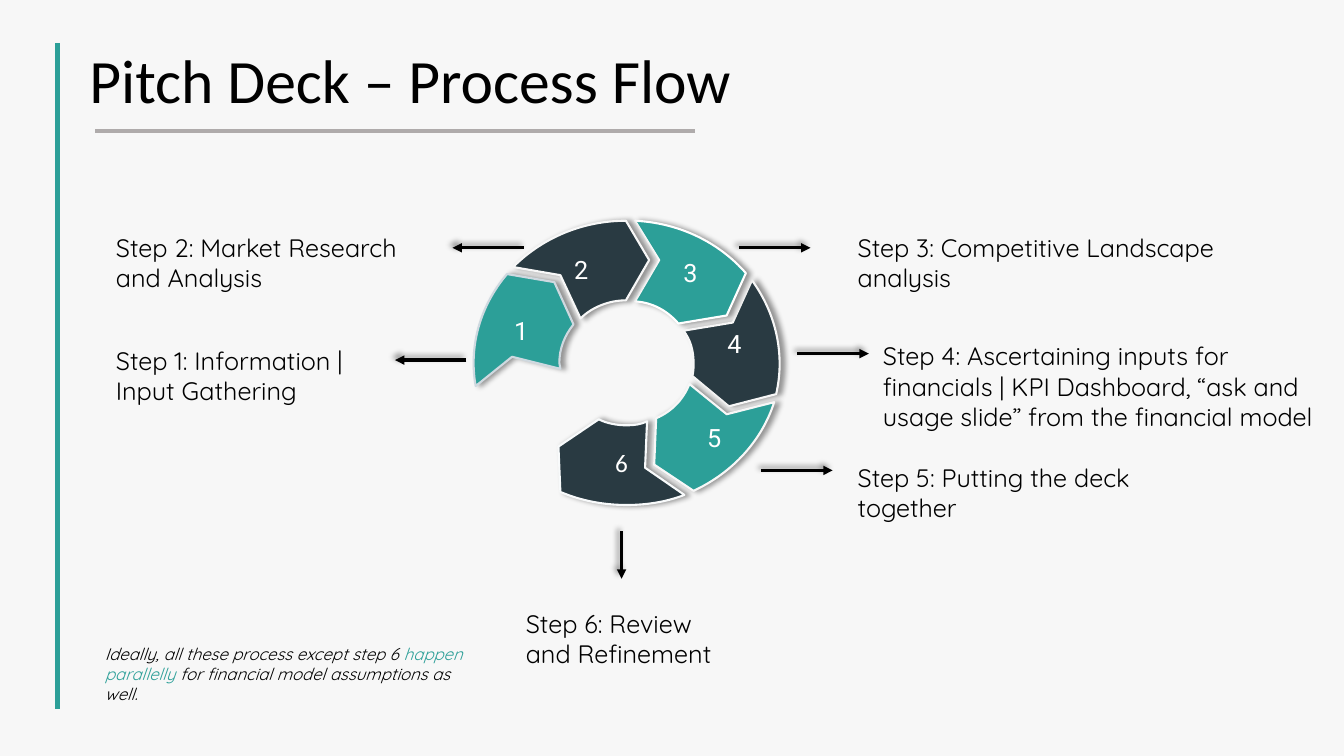
"""Build the pitch deck process flow slide."""
from dataclasses import dataclass

from lxml import etree
from pptx import Presentation
from pptx.dml import color
from pptx.enum import shapes, text
from pptx.oxml import ns
from pptx.util import Pt


@dataclass(frozen=True)
class Theme:
    background: str = "F7F7F7"
    teal: str = "2C9F98"
    navy: str = "293A42"
    grey: str = "AFABAB"
    black: str = "000000"
    white: str = "FFFFFF"
    pale_blue: str = "CFD9E0"
    near_white: str = "F8FAFB"
    title_size: int = 44
    body_size: int = 18
    note_size: int = 12
    title_font: str = "Calibri"
    body_font: str = "Quicksand"
    number_font: str = "Roboto"


theme = Theme()
rgb = color.RGBColor.from_string


def write(frame, *runs, size=theme.body_size, font=theme.body_font, ink=theme.black,
          italic=False, align=text.PP_ALIGN.LEFT, anchor=text.MSO_ANCHOR.TOP,
          inset=(7.2, 3.6), spacing=None):
    """Fill a text frame with runs, each a string or a (string, colour) pair."""
    frame.word_wrap = True
    frame.auto_size = text.MSO_AUTO_SIZE.NONE
    frame.vertical_anchor = anchor
    frame.margin_left = frame.margin_right = Pt(inset[0])
    frame.margin_top = frame.margin_bottom = Pt(inset[1])
    paragraph = frame.paragraphs[0]
    paragraph.alignment = align
    paragraph.line_spacing = spacing
    for item in runs:
        words, run_ink = (item, ink) if isinstance(item, str) else item
        run = paragraph.add_run()
        run.text = words
        run.font.size = Pt(size)
        run.font.name = font
        run.font.italic = italic
        run.font.color.rgb = rgb(run_ink)


def set_shadow(item, degrees=None):
    """Drop a soft shadow in the given direction, or none at all."""
    effects = etree.SubElement(item._element.spPr, ns.qn("a:effectLst"))
    if degrees is not None:
        shadow = etree.SubElement(effects, ns.qn("a:outerShdw"), blurRad=str(Pt(4)),
                                  dist=str(Pt(3)), dir=str(degrees * 60000),
                                  algn="ctr", rotWithShape="0")
        tint = etree.SubElement(shadow, ns.qn("a:srgbClr"), val=theme.black)
        etree.SubElement(tint, ns.qn("a:alpha"), val="40000")


presentation = Presentation()
presentation.slide_width, presentation.slide_height = Pt(960), Pt(540)
slide = presentation.slides.add_slide(presentation.slide_layouts[5])
slide.background.fill.solid()
slide.background.fill.fore_color.rgb = rgb(theme.background)

title = slide.shapes.title
title.left, title.top, title.width, title.height = Pt(56.7), Pt(28.8), Pt(700.6), Pt(72.7)
write(title.text_frame, "Pitch Deck – Process Flow", size=theme.title_size,
      font=theme.title_font, inset=(7.2, 7.2), spacing=0.9)

# pairs are corners, sextuples are cubic curves
segments = [
    ("4", theme.navy, theme.background, theme.number_font, [
        (537.1, 200.2), (523.4, 230.4), (488.2, 236.2),
        (493.2, 242.6, 495.4, 250.6, 495.4, 259.2),
        (495.4, 262.1, 495.4, 265, 494.6, 268.6), (520.6, 290.2), (554.4, 281.5),
        (560.9, 253.4, 554.4, 223.9, 537.1, 200.2)]),
    ("3", theme.teal, theme.white, theme.number_font, [
        (453.6, 157.7), (470.9, 185.8), (453.6, 215.3),
        (465.8, 216, 476.6, 221.8, 484.6, 231.1), (519.1, 225.4), (532.8, 195.1),
        (513.4, 172.8, 484.6, 159.1, 453.6, 157.7)]),
    ("6", theme.navy, theme.near_white, theme.title_font, [
        (427.7, 299.5), (398.9, 319), (400.3, 351.4),
        (415.4, 357.8, 431.3, 360.7, 447.8, 360.7),
        (461.5, 360.7, 475.9, 358.6, 488.9, 353.5), (460.8, 334.1), (462.2, 301),
        (457.9, 303.1, 452.9, 303.8, 447.8, 303.8),
        (440.6, 303.8, 433.4, 302.4, 427.7, 299.5)]),
    ("5", theme.teal, theme.background, theme.number_font, [
        (492.5, 274.3), (488.2, 285.1, 480.2, 293.8, 468.7, 298.8), (467.3, 331.9),
        (495.4, 350.6), (523.4, 337.7, 544.3, 314.6, 553, 287.3), (519.1, 295.9)]),
    ("1", theme.teal, theme.pale_blue, theme.number_font, [
        (362.2, 195.8), (342.7, 218.9, 334.8, 247.7, 339.8, 275.8), (365.8, 254.9),
        (400.3, 263.5), (400.3, 262.1, 399.6, 260.6, 399.6, 259.2),
        (399.6, 249.1, 403.2, 239.8, 409.7, 231.8), (396, 201.6)]),
    ("2", theme.navy, theme.background, theme.number_font, [
        (447.1, 157.7), (416.2, 157.7, 387.4, 169.9, 366.5, 190.8), (400.3, 196.6),
        (414.7, 227.5), (422.6, 219.6, 434.9, 214.6, 447.1, 214.6), (463.7, 185.8)]),
]
for number, fill, border, font, outline in segments:
    points = [(Pt(piece[i]), Pt(piece[i + 1]))
              for piece in outline for i in range(0, len(piece), 2)]
    builder = slide.shapes.build_freeform(*points[0])
    builder.add_line_segments(points[1:], close=True)
    shape = builder.convert_to_shape()
    steps = iter(list(shape._element.iter(ns.qn("a:lnTo"))))
    for piece in outline[1:]:
        step = next(steps)
        if len(piece) == 6:
            curve = etree.Element(ns.qn("a:cubicBezTo"))
            step.addprevious(curve)
            for control in (step, next(steps), next(steps)):
                curve.append(control[0])
                control.getparent().remove(control)
    shape.fill.solid()
    shape.fill.fore_color.rgb = rgb(fill)
    shape.line.color.rgb = rgb(border)
    shape.line.width = Pt(1.5)
    set_shadow(shape, 0)
    write(shape.text_frame, number, font=font, ink=theme.white, inset=(7.2, 7.2),
          align=text.PP_ALIGN.CENTER, anchor=text.MSO_ANCHOR.MIDDLE)

reach = 51.1
lines = [(41, 31, 0, 475.2, theme.teal, 3.25), (67.9, 93.6, 428.6, 0, theme.grey, 3)]
lines += [(x, y, dx, dy, theme.black, 2.25) for x, y, dx, dy in [
    (333.2, 257.2, -reach, 0), (444, 379.6, 0, 33.8), (569.5, 252.6, reach, 0),
    (543.7, 336, reach, 0), (527.9, 177, reach, 0), (374.3, 177, -reach, 0)]]
for x, y, dx, dy, ink, width in lines:
    line = slide.shapes.add_connector(shapes.MSO_CONNECTOR.STRAIGHT,
                                      Pt(x), Pt(y), Pt(x + dx), Pt(y + dy))
    line.line.color.rgb = rgb(ink)
    line.line.width = Pt(width)
    is_arrow = ink == theme.black
    if is_arrow:
        etree.SubElement(line.line._get_or_add_ln(), ns.qn("a:tailEnd"), type="triangle")
    set_shadow(line, 225 if is_arrow else None)

note = ["Ideally, all these process except step 6 ", ("happen parallelly", theme.teal),
        " for financial model assumptions as well."]
labels = [
    (75.7, 242.8, 222, 51, ["Step 1: Information | Input Gathering"], {}),
    (75.7, 162.3, 222, 51, ["Step 2: Market Research and Analysis"], {}),
    (605.5, 162.3, 290, 51, ["Step 3: Competitive Landscape analysis"], {}),
    (623.6, 239.8, 338.4, 72.7, ["Step 4: Ascertaining inputs for financials | KPI Dashboard, "
                                 "“ask and usage slide” from the financial model"], {}),
    (605.5, 326.4, 267, 51, ["Step 5: Putting the deck together"], {}),
    (368.5, 430.8, 164, 51, ["Step 6: Review and Refinement"], {}),
    (67.9, 456, 280, 51, note, {"size": theme.note_size, "italic": True}),
]
for left, top, width, height, runs, style in labels:
    box = slide.shapes.add_textbox(Pt(left), Pt(top), Pt(width), Pt(height))
    write(box.text_frame, *runs, **style)

presentation.save("out.pptx")
